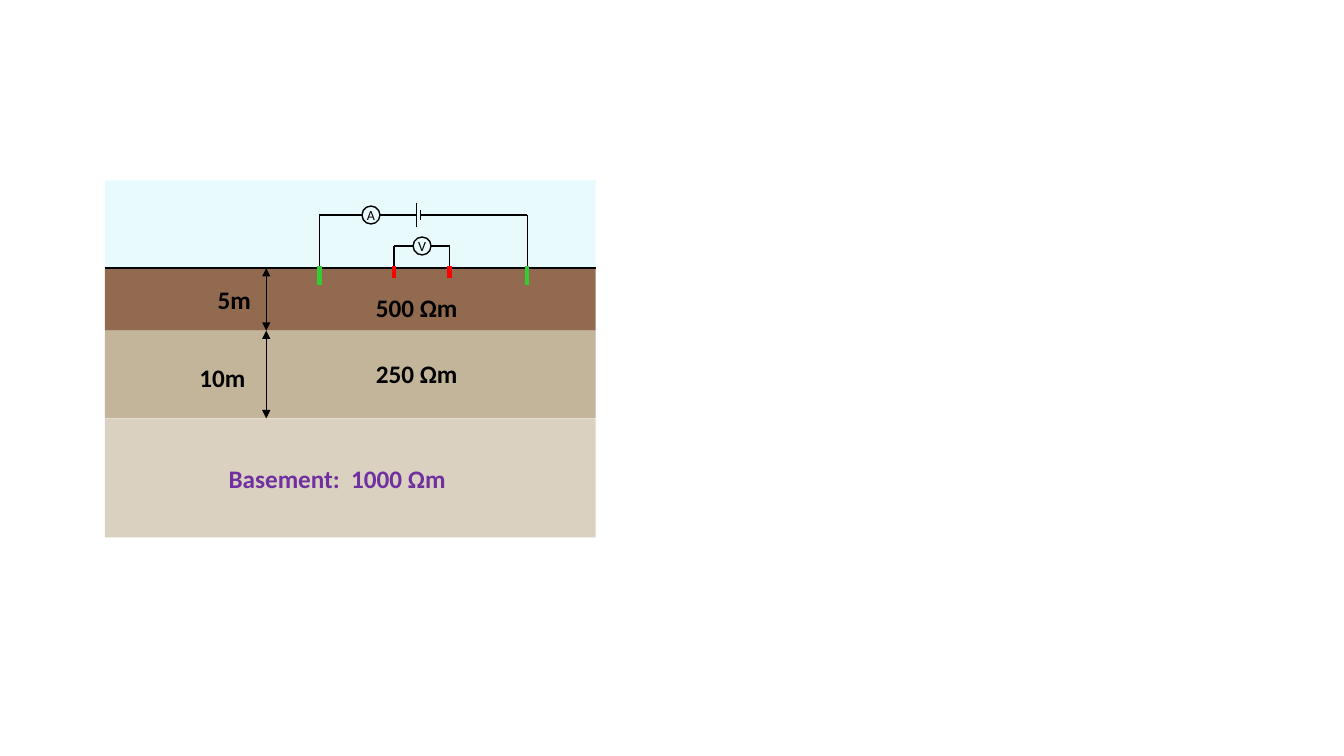
from lxml import etree
from pptx import Presentation
from pptx.dml.color import RGBColor
from pptx.enum.shapes import MSO_CONNECTOR, MSO_SHAPE
from pptx.enum.text import MSO_ANCHOR, MSO_AUTO_SIZE, PP_ALIGN
from pptx.oxml.ns import qn
from pptx.util import Pt

STRAIGHT = MSO_CONNECTOR.STRAIGHT
RECT, OVAL = MSO_SHAPE.RECTANGLE, MSO_SHAPE.OVAL
MIDDLE, CENTER = MSO_ANCHOR.MIDDLE, PP_ALIGN.CENTER
GROW = MSO_AUTO_SIZE.SHAPE_TO_FIT_TEXT

COLORS = {
    "air": "E8FAFC", "topsoil": "926A50", "subsoil": "C3B599", "basement": "DAD1C0",
    "black": "000000", "current": "33CC33", "potential": "FF0000", "purple": "7030A0",
}
LEFT, WIDTH = 74.9, 350.7
LAYERS = [("air", 128.9), ("topsoil", 191.5), ("subsoil", 236.2), ("basement", 298.8)]
BOTTOM = 383.8
SURFACE = LAYERS[1][1]
DEPTH_X = 190.2
ELECTRODE_TOP = 190.1
BATTERY = [(297.4, 8.3), (300.2, 3.6)]
CIRCUITS = [
    {"color": "current", "ends": (228.2, 376.7), "y": 153.6, "tip": 203.8,
     "meter": "A", "meter_x": 265, "battery": BATTERY},
    {"color": "potential", "ends": (281.5, 321.1), "y": 175.7, "tip": 198.7,
     "meter": "V", "meter_x": 301.5, "battery": []},
]
RADIUS = 6.4
LABELS = [
    ("5m", 148.3, 199.4, 44.6, "black"),
    ("10m", 135.4, 254.9, 57.6, "black"),
    ("500 Ωm", 261.4, 205.2, 92.2, "black"),
    ("250 Ωm", 261.4, 252.7, 92.2, "black"),
    ("Basement:  1000 Ωm", 156.2, 327.6, 204.5, "purple"),
]
LABEL_HEIGHT = 29.1


def rgb(name):
    return RGBColor.from_string(COLORS[name])


def set_all(obj, **values):
    for name, value in values.items():
        setattr(obj, name, value)


def add_line(s, x1, y1, x2, y2, color="black", width=1, arrows=False):
    c = s.shapes.add_connector(STRAIGHT, Pt(x1), Pt(y1), Pt(x2), Pt(y2))
    c.line.color.rgb = rgb(color)
    c.line.width = Pt(width)
    if arrows:
        ln = c.line._get_or_add_ln()
        for end in ("a:headEnd", "a:tailEnd"):
            etree.SubElement(ln, qn(end), type="triangle")
    etree.SubElement(c._element.spPr, qn("a:effectLst"))


def add_text(tf, text, size, color="black", bold=False):
    p = tf.paragraphs[0]
    r = p.add_run()
    r.text = text
    set_all(r.font, name="Calibri", size=Pt(size), bold=bold)
    r.font.color.rgb = rgb(color)
    return p


def add_layer(s, name, top, bottom):
    sp = s.shapes.add_shape(RECT, Pt(LEFT), Pt(top), Pt(WIDTH), Pt(bottom - top))
    sp.shadow.inherit = False
    sp.fill.solid()
    sp.fill.fore_color.rgb = rgb(name)
    sp.line.fill.background()


def add_meter(s, letter, x, y):
    sp = s.shapes.add_shape(OVAL, Pt(x - RADIUS), Pt(y - RADIUS), Pt(2 * RADIUS), Pt(2 * RADIUS))
    sp.shadow.inherit = False
    sp.fill.background()
    sp.line.color.rgb = rgb("black")
    sp.line.width = Pt(1)
    tf = sp.text_frame
    set_all(tf, margin_left=0, margin_right=0, margin_top=0, margin_bottom=0,
            vertical_anchor=MIDDLE, word_wrap=False)
    add_text(tf, letter, 10).alignment = CENTER


def add_circuit(s, circuit):
    y, x = circuit["y"], circuit["meter_x"]
    start, end = circuit["ends"]
    stops = [start, x - RADIUS, x + RADIUS]
    stops += [plate_x for plate_x, _ in circuit["battery"]] + [end]
    for x1, x2 in zip(stops[::2], stops[1::2]):
        add_line(s, x1, y, x2, y)
    for plate_x, half in circuit["battery"]:
        add_line(s, plate_x, y - half, plate_x, y + half)
    for rod_x in circuit["ends"]:
        add_line(s, rod_x, y, rod_x, ELECTRODE_TOP)
        add_line(s, rod_x, ELECTRODE_TOP, rod_x, circuit["tip"], circuit["color"], 3)
    add_meter(s, circuit["meter"], x, y)


def add_label(s, text, x, y, width, color):
    tf = s.shapes.add_textbox(Pt(x), Pt(y), Pt(width), Pt(LABEL_HEIGHT)).text_frame
    set_all(tf, word_wrap=True, auto_size=GROW)
    add_text(tf, text, 18, color, True)


def main():
    prs = Presentation()
    set_all(prs, slide_width=Pt(960), slide_height=Pt(540))
    s = prs.slides.add_slide(prs.slide_layouts[6])
    tops = [top for _, top in LAYERS]
    for (name, top), bottom in zip(LAYERS, tops[1:] + [BOTTOM]):
        add_layer(s, name, top, bottom)
    add_line(s, LEFT, SURFACE, LEFT + WIDTH, SURFACE, width=1.5)
    for circuit in CIRCUITS:
        add_circuit(s, circuit)
    for top, bottom in zip(tops[1:], tops[2:]):
        add_line(s, DEPTH_X, top, DEPTH_X, bottom, arrows=True)
    for label in LABELS:
        add_label(s, *label)
    prs.save("out.pptx")


if __name__ == "__main__":
    main()
